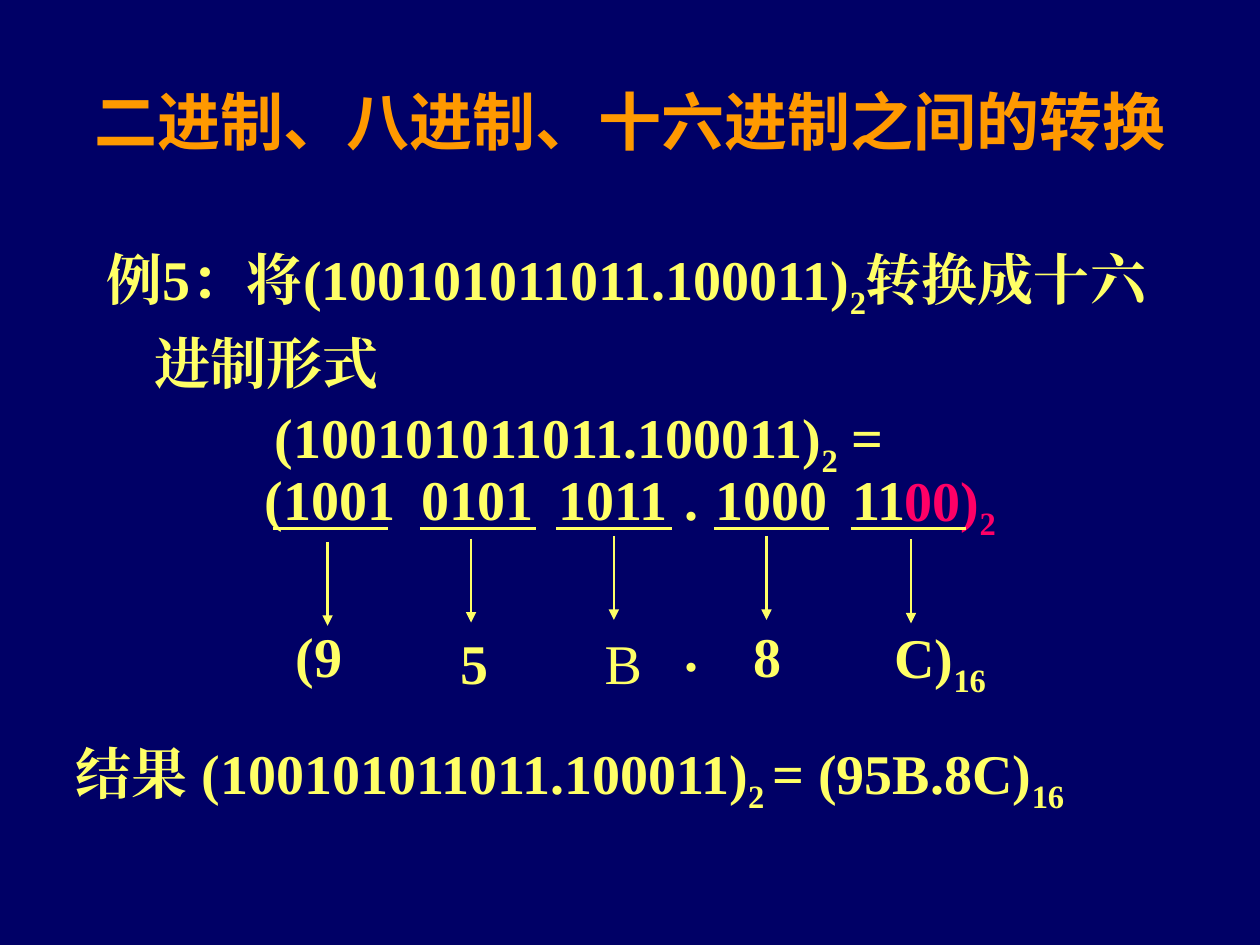
from dataclasses import dataclass

from lxml.etree import SubElement
from pptx import Presentation
from pptx.dml.color import RGBColor
from pptx.enum.shapes import MSO_CONNECTOR as Connector
from pptx.enum.text import MSO_ANCHOR as Anchor, PP_ALIGN as Align
from pptx.oxml.ns import qn
from pptx.util import Pt


@dataclass(frozen=True)
class Theme:
    background: RGBColor = RGBColor(0x00, 0x00, 0x66)
    title: RGBColor = RGBColor(0xFF, 0x99, 0x00)
    text: RGBColor = RGBColor(0xFF, 0xFF, 0x66)
    padding: RGBColor = RGBColor(0xFF, 0x00, 0x66)
    title_font: str = "Noto Sans CJK SC"
    text_font: str = "Times New Roman"
    title_size: int = 36
    text_size: int = 32
    line_width: float = 1.5
    line_spacing: float = 1.1


THEME = Theme()
BINARY = "(100101011011.100011)"


def set_font(p, name, size, color, bold=True):
    p.font.name = name
    p.font.size = Pt(size)
    p.font.bold = bold
    p.font.color.rgb = color
    props = p._p.get_or_add_pPr().get_or_add_defRPr()
    SubElement(props, qn("a:ea"), typeface=name)


def place(sp, x, y, w, h):
    sp.left, sp.top, sp.width, sp.height = Pt(x), Pt(y), Pt(w), Pt(h)


def add_text(s, x, y, w, h, parts, color=THEME.text, bold=True):
    tf = s.shapes.add_textbox(Pt(x), Pt(y), Pt(w), Pt(h)).text_frame
    tf.word_wrap = True
    p = tf.paragraphs[0]
    p.line_spacing = THEME.line_spacing
    set_font(p, THEME.text_font, THEME.text_size, color, bold)
    for i, part in enumerate(parts):
        r = p.add_run()
        r.text = part
        if i % 2:
            r._r.get_or_add_rPr().set("baseline", "-25000")
    return p


def add_line(s, x1, y1, x2, y2, arrow=False):
    line = s.shapes.add_connector(Connector.STRAIGHT, Pt(x1), Pt(y1), Pt(x2), Pt(y2))
    line.line.color.rgb = THEME.text
    line.line.width = Pt(THEME.line_width)
    if arrow:
        SubElement(line.line._get_or_add_ln(), qn("a:tailEnd"), type="triangle")
    SubElement(line._element.spPr, qn("a:effectLst"))


def add_title(s, x, y, w, h):
    sp = s.shapes.title
    place(sp, x, y, w, h)
    tf = sp.text_frame
    tf.text = "二进制、八进制、十六进制之间的转换"
    tf.vertical_anchor = Anchor.MIDDLE
    p = tf.paragraphs[0]
    p.alignment = Align.CENTER
    set_font(p, THEME.title_font, THEME.title_size, THEME.title)


def add_question(s, x, y, w, h):
    p = add_text(s, x, y, w, h, [f"例5：将{BINARY}", "2", "转换成十六进制形式"])
    props = p._p.get_or_add_pPr()
    props.set("marL", str(Pt(27)))
    props.set("indent", str(-Pt(27)))


def add_conversion(s, x, y):
    text_h, rule_y, rule_w, arrow_h = 46, 44, 66, 48
    add_text(s, x + 6, y - 36, 372, 51, [BINARY, "2", " ="])

    groups = [("(1001", 0, 90), ("0101", 90, 84), ("1011", 168, 84),
              ("1000", 258, 84), ("11", 336, 48)]
    for bits, dx, w in groups:
        add_text(s, x + dx, y, w, text_h, [bits])
    add_text(s, x + 366, y, 84, 51, ["00)", "2"], THEME.padding)

    for dx in (12, 96, 174, 264, 342):
        add_line(s, x + dx, y + rule_y, x + dx + rule_w, y + rule_y)
    for dx, dy in ((43.2, 51.6), (125.2, 49.8), (206.8, 48.2), (294, 48.2), (376.6, 50.2)):
        add_line(s, x + dx, y + dy, x + dx, y + dy + arrow_h, arrow=True)

    digits = [(["(9"], 18, 90, 54), (["5"], 112.2, 93.6, 38), (["B"], 194.4, 93.6, 38),
              (["8"], 279.4, 90, 38), (["C)", "16"], 360, 90, 78)]
    for parts, dx, dy, w in digits:
        add_text(s, x + dx, y + dy, w, text_h, parts, bold=parts != ["B"])
    for dy in (0, 86.4):
        add_text(s, x + 240, y + dy, 36, text_h, ["."])


def add_result(s, x, y, w, h):
    add_text(s, x, y, w, h, [f"结果 {BINARY}", "2 ", "= (95B.8C)", "16"])


def main():
    prs = Presentation()
    prs.slide_width, prs.slide_height = Pt(720), Pt(540)
    s = prs.slides.add_slide(prs.slide_layouts[5])
    s.background.fill.solid()
    s.background.fill.fore_color.rgb = THEME.background
    add_title(s, 42, 24, 636, 90)
    add_question(s, 54, 132, 612, 324)
    add_conversion(s, 144, 258)
    add_result(s, 36, 414, 654, 51)
    prs.save("out.pptx")


if __name__ == "__main__":
    main()
